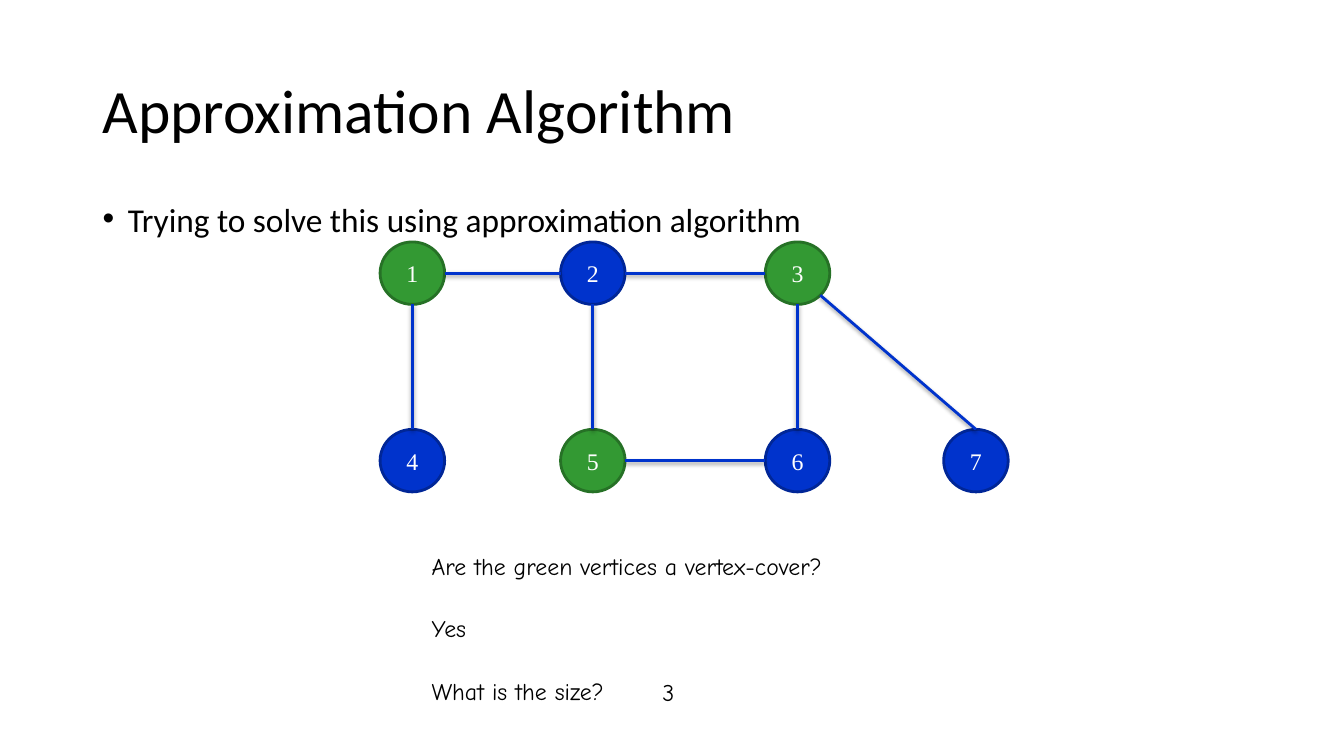
from pptx import Presentation
from pptx.util import Inches, Pt
from pptx.dml.color import RGBColor
from pptx.enum.shapes import MSO_SHAPE, MSO_CONNECTOR
from pptx.enum.text import PP_ALIGN, MSO_ANCHOR
from pptx.oxml import parse_xml
from pptx.oxml.ns import nsdecls
from math import cos, sin, radians

BLACK = RGBColor(0x00, 0x00, 0x00)
WHITE = RGBColor(0xFF, 0xFF, 0xFF)
BLUE = RGBColor(0x00, 0x33, 0xCC)
NAVY = RGBColor(0x00, 0x26, 0x97)
GREEN = RGBColor(0x33, 0x99, 0x33)
MOSS = RGBColor(0x26, 0x71, 0x26)

TITLE = "Approximation Algorithm"
POINT = "Trying to solve this using approximation algorithm"
NOTES = [
    ("Are the green vertices a vertex-cover?", 4.17, 5.42, 4.58),
    ("Yes", 4.17, 6.04, 4.58),
    ("What is the size?", 4.17, 6.66, 6.32),
    ("3", 6.46, 6.67, 0.73),
]

COLS = [4.09, 5.88, 7.91, 9.68]
ROWS = [2.71, 4.57]
WIDE, HIGH = 0.64, 0.62
NODES = {4: (0, 1), 1: (0, 0), 2: (1, 0), 3: (2, 0), 6: (2, 1), 5: (1, 1), 7: (3, 1)}
COVER = {1, 3, 5}
EAST, SOUTH, WEST, NORTH = 0, 90, 180, 270
EDGES = [
    (1, SOUTH, 4, NORTH), (1, EAST, 2, WEST), (2, EAST, 3, WEST),
    (2, SOUTH, 5, NORTH), (3, 45, 7, NORTH), (3, SOUTH, 6, NORTH),
    (5, EAST, 6, WEST),
]
SHADE = (
    f'<a:effectLst {nsdecls("a")}><a:outerShdw blurRad="{Pt(3.1)}" dist="{Pt(1.6)}" '
    'dir="5400000" rotWithShape="0"><a:srgbClr val="000000"><a:alpha val="38000"/>'
    '</a:srgbClr></a:outerShdw></a:effectLst>'
)

deck = Presentation()
deck.slide_width, deck.slide_height = Inches(13.33), Inches(7.5)
slide = deck.slides.add_slide(deck.slide_layouts[6])
shapes = slide.shapes


def write(shape, text, size, font, color, side=0.11):
    frame = shape.text_frame
    frame.word_wrap = True
    frame.margin_left = frame.margin_right = Inches(side)
    frame.margin_top = frame.margin_bottom = Inches(0.05)
    para = frame.paragraphs[0]
    run = para.add_run()
    run.text = text
    run.font.size = Pt(size)
    run.font.name = font
    run.font.color.rgb = color
    return frame, para


def label(text, box, *style):
    return write(shapes.add_textbox(*map(Inches, box)), text, *style)


def rim(node, angle):
    col, row = NODES[node]
    turn = radians(angle)
    return (Inches(COLS[col] + WIDE / 2 * cos(turn)),
            Inches(ROWS[row] + HIGH / 2 * sin(turn)))


frame, para = label(TITLE, (0.92, 0.4, 11.5, 1.45), 44, "Calibri", BLACK, 0.1)
frame.vertical_anchor = MSO_ANCHOR.MIDDLE
para.line_spacing = 0.9

frame, para = label(POINT, (0.92, 2, 7.26, 0.56), 23.8, "Calibri", BLACK, 0.1)
para.line_spacing = 0.8
para.space_before = Pt(10)
props = para._p.get_or_add_pPr()
props.set("marL", str(Inches(0.25)))
props.set("indent", str(-Inches(0.25)))
props.append(parse_xml(f'<a:buFont {nsdecls("a")} typeface="Arial"/>'))
props.append(parse_xml(f'<a:buChar {nsdecls("a")} char="\u2022"/>'))

for node, (col, row) in NODES.items():
    disc = shapes.add_shape(
        MSO_SHAPE.OVAL, Inches(COLS[col] - WIDE / 2), Inches(ROWS[row] - HIGH / 2),
        Inches(WIDE), Inches(HIGH))
    disc.shadow.inherit = False
    fill, line = (GREEN, MOSS) if node in COVER else (BLUE, NAVY)
    disc.fill.solid()
    disc.fill.fore_color.rgb = fill
    disc.line.color.rgb = line
    disc.line.width = Pt(2)
    frame, para = write(disc, str(node), 17, "Times New Roman", WHITE)
    frame.vertical_anchor = MSO_ANCHOR.MIDDLE
    para.alignment = PP_ALIGN.CENTER

for start, leave, end, enter in EDGES:
    edge = shapes.add_connector(
        MSO_CONNECTOR.STRAIGHT, *rim(start, leave), *rim(end, enter))
    edge.line.color.rgb = BLUE
    edge.line.width = Pt(2)
    edge._element.spPr.append(parse_xml(SHADE))

for text, left, top, width in NOTES:
    label(text, (left, top, width, 0.4), 17, "Comic Neue", BLACK)

deck.save("out.pptx")
